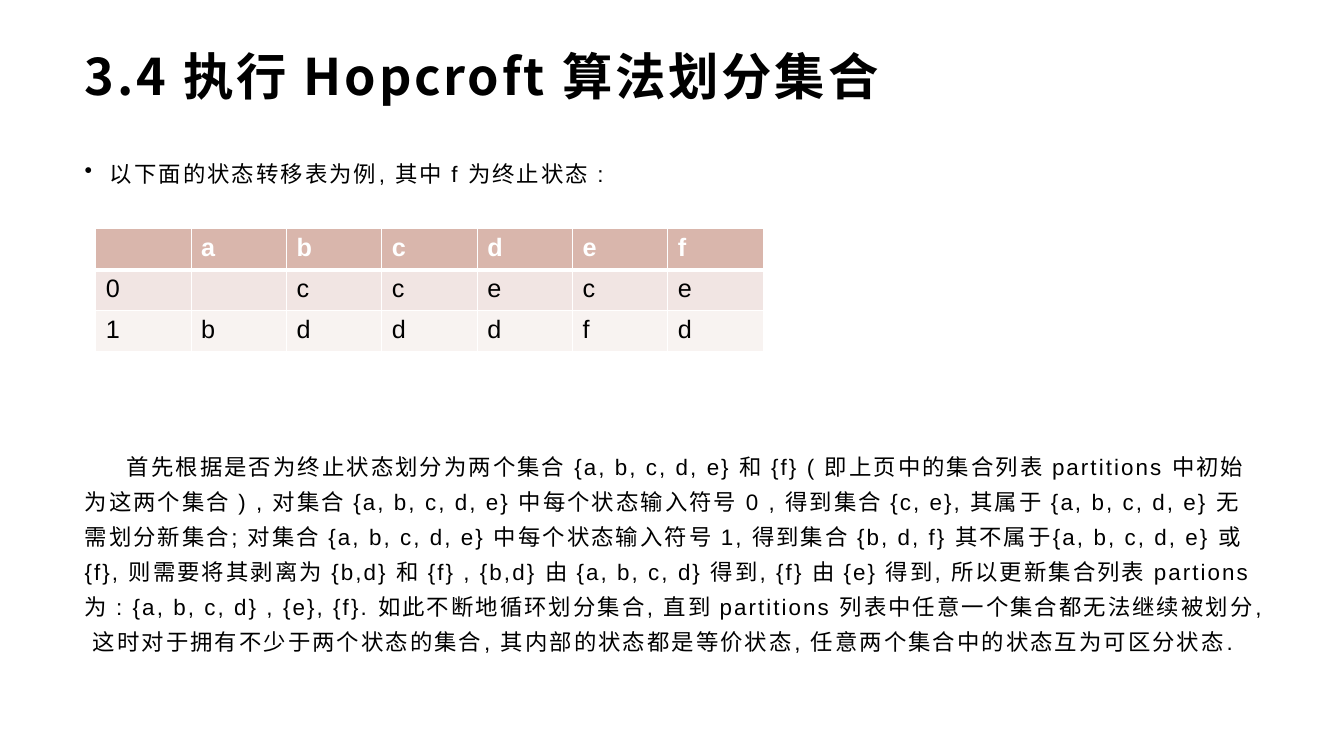
from lxml import etree
from pptx import Presentation
from pptx.dml.color import RGBColor
from pptx.enum.text import MSO_ANCHOR, PP_ALIGN
from pptx.oxml.ns import qn
from pptx.util import Inches, Pt

TOP = MSO_ANCHOR.TOP
LEFT = PP_ALIGN.LEFT
TITLE_ONLY = 5
BODY_FONT = "Arial"
TITLE_FONT = "Noto Sans CJK SC"
COLORS = {
    "text": "000000",
    "white": "FFFFFF",
    "header": "D9B6AC",
    "odd_row": "F1E5E3",
    "even_row": "F8F3F1",
}

TITLE = "3.4 执行 Hopcroft 算法划分集合"
INTRO = "以下面的状态转移表为例, 其中 f 为终止状态 :"
TRANSITIONS = [
    ["", "a", "b", "c", "d", "e", "f"],
    ["0", "", "c", "c", "e", "c", "e"],
    ["1", "b", "d", "d", "d", "f", "d"],
]
EXPLANATION = (
    "首先根据是否为终止状态划分为两个集合 {a, b, c, d, e} 和 {f} "
    "( 即上页中的集合列表 partitions 中初始为这两个集合 ) , "
    "对集合 {a, b, c, d, e} 中每个状态输入符号 0 , 得到集合 {c, e}, "
    "其属于 {a, b, c, d, e} 无需划分新集合; "
    "对集合 {a, b, c, d, e} 中每个状态输入符号 1, 得到集合 {b, d, f} "
    "其不属于{a, b, c, d, e} 或 {f}, 则需要将其剥离为 {b,d} 和 {f} , "
    "{b,d} 由 {a, b, c, d} 得到, {f} 由 {e} 得到, "
    "所以更新集合列表 partions 为 : {a, b, c, d} , {e}, {f}. "
    "如此不断地循环划分集合, 直到 partitions 列表中任意一个集合都无法继续被划分, "
    "这时对于拥有不少于两个状态的集合, 其内部的状态都是等价状态, "
    "任意两个集合中的状态互为可区分状态."
)


def color(name):
    return RGBColor.from_string(COLORS[name])


def format_paragraph(paragraph, font_name, size, color_name="text", bold=False):
    paragraph.alignment = LEFT
    font = paragraph.font
    font.name, font.size, font.bold = font_name, Pt(size), bold
    font.color.rgb = color(color_name)


def set_tracking(paragraph, points):
    """Widen the gaps between letters."""
    for run in paragraph.runs:
        run.font._element.set("spc", str(int(points * 100)))


def set_indent(paragraph, margin, first_line, bullet=None):
    properties = paragraph._p.get_or_add_pPr()
    properties.set("marL", str(Inches(margin)))
    properties.set("indent", str(Inches(first_line)))
    if bullet:
        mark = etree.Element(qn("a:buChar"), char=bullet)
        properties.insert_element_before(mark, "a:tabLst", "a:defRPr", "a:extLst")


def set_frame(text_frame, right, vertical):
    text_frame.word_wrap = True
    text_frame.vertical_anchor = TOP
    text_frame.margin_left, text_frame.margin_right = Inches(0.11), Inches(right)
    text_frame.margin_top = text_frame.margin_bottom = Inches(vertical)


def fill_title(slide, left, top, width, height):
    title = slide.shapes.title
    title.left, title.top = Inches(left), Inches(top)
    title.width, title.height = Inches(width), Inches(height)
    set_frame(title.text_frame, 0.08, 0.04)
    paragraph = title.text_frame.paragraphs[0]
    paragraph.text = TITLE
    paragraph.line_spacing = 0.9
    format_paragraph(paragraph, TITLE_FONT, 36, bold=True)
    east_asian = etree.Element(qn("a:ea"), typeface=TITLE_FONT)
    paragraph.font._element.append(east_asian)
    set_tracking(paragraph, 2)


def add_body_text(slide, text, left, top, width, height, margin, first_line, bullet=None):
    box = slide.shapes.add_textbox(Inches(left), Inches(top), Inches(width), Inches(height))
    set_frame(box.text_frame, 0.09, 0)
    paragraph = box.text_frame.paragraphs[0]
    paragraph.text = text
    paragraph.line_spacing = 1.3
    format_paragraph(paragraph, BODY_FONT, 16)
    set_tracking(paragraph, 1.5)
    set_indent(paragraph, margin, first_line, bullet)


def set_borders(cell, top, bottom):
    """Draw white borders; the side ones are 1 point wide."""
    properties = cell._tc.get_or_add_tcPr()
    widths = {"a:lnL": 1, "a:lnR": 1, "a:lnT": top, "a:lnB": bottom}
    for position, (tag, width) in enumerate(widths.items()):
        line = etree.Element(qn(tag), w=str(Pt(width)))
        fill = etree.SubElement(line, qn("a:solidFill"))
        etree.SubElement(fill, qn("a:srgbClr"), val=COLORS["white"])
        properties.insert(position, line)


def add_transition_table(slide, left, top, width, height):
    row_count, column_count = len(TRANSITIONS), len(TRANSITIONS[0])
    table = slide.shapes.add_table(
        row_count, column_count, Inches(left), Inches(top), Inches(width), Inches(height)
    ).table
    row_fills = ["header", "odd_row", "even_row"]
    for row, (values, fill) in enumerate(zip(TRANSITIONS, row_fills)):
        is_header = row == 0
        for column, value in enumerate(values):
            cell = table.cell(row, column)
            cell.text = value
            cell.fill.solid()
            cell.fill.fore_color.rgb = color(fill)
            text_color = "white" if is_header else "text"
            format_paragraph(
                cell.text_frame.paragraphs[0], BODY_FONT, 18, text_color, is_header
            )
            set_borders(cell, 3 if row == 1 else 1, 3 if is_header else 1)


def main():
    presentation = Presentation()
    presentation.slide_width = Inches(13.33)
    presentation.slide_height = Inches(7.5)
    slide = presentation.slides.add_slide(presentation.slide_layouts[TITLE_ONLY])
    left, width = 0.73, 11.87
    fill_title(slide, left, 0.48, width, 0.48)
    add_body_text(slide, INTRO, left, 1.51, width, 0.4, 0.25, -0.25, "•")
    add_transition_table(slide, 0.95, 2.27, 6.62, 1.22)
    add_body_text(slide, EXPLANATION, left, 4.42, width, 2.5, 0, 0.42)
    presentation.save("out.pptx")


if __name__ == "__main__":
    main()
